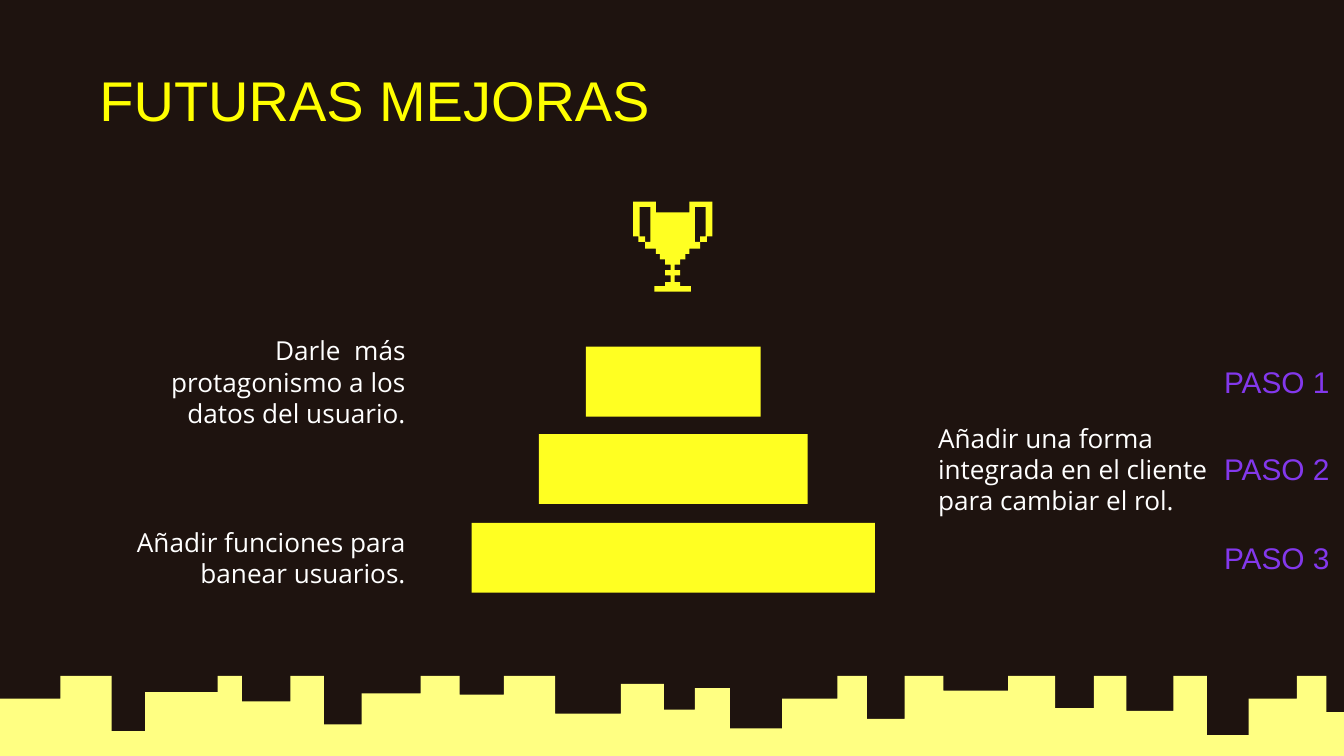
from dataclasses import dataclass

from pptx import Presentation
from pptx.dml.color import RGBColor
from pptx.enum.shapes import MSO_SHAPE
from pptx.enum.text import MSO_ANCHOR, MSO_AUTO_SIZE, PP_ALIGN
from pptx.util import Inches, Pt

RECTANGLE = MSO_SHAPE.RECTANGLE
TOP, MIDDLE = MSO_ANCHOR.TOP, MSO_ANCHOR.MIDDLE
LEFT, CENTER, RIGHT = PP_ALIGN.LEFT, PP_ALIGN.CENTER, PP_ALIGN.RIGHT
NO_AUTOFIT = MSO_AUTO_SIZE.NONE
TITLE_ONLY = 5
SLIDE_WIDTH = 10
UNITS_PER_INCH = 100


@dataclass(frozen=True)
class TextStyle:
    font: str
    size: int
    color: str


@dataclass(frozen=True)
class Theme:
    background: str = "1E130F"
    skyline: str = "FFFF82"
    accent: str = "FFFF22"
    title: TextStyle = TextStyle("Arial", 30, "FFFF00")
    step: TextStyle = TextStyle("Arial", 16, "8338EC")
    body: TextStyle = TextStyle("Open Sans", 14, "FFFFFF")


class SlideBuilder:
    def __init__(self, slide, theme):
        self.slide = slide
        self.theme = theme
        background = slide.background.fill
        background.solid()
        background.fore_color.rgb = RGBColor.from_string(theme.background)

    def _paint(self, shape, color):
        shape.fill.solid()
        shape.fill.fore_color.rgb = RGBColor.from_string(color)
        shape.line.fill.background()
        shape.shadow.inherit = False

    def _write(self, shape, text, style, align, anchor):
        frame = shape.text_frame
        frame.word_wrap = True
        frame.auto_size = NO_AUTOFIT
        frame.vertical_anchor = anchor
        frame.margin_left = frame.margin_right = 0
        frame.margin_top = frame.margin_bottom = 0
        paragraph = frame.paragraphs[0]
        paragraph.alignment = align
        run = paragraph.add_run()
        run.text = text
        run.font.name = style.font
        run.font.size = Pt(style.size)
        run.font.color.rgb = RGBColor.from_string(style.color)

    def title(self, text, left, top, width, height):
        heading = self.slide.shapes.title
        heading.left, heading.top = Inches(left), Inches(top)
        heading.width, heading.height = Inches(width), Inches(height)
        self._write(heading, text, self.theme.title, LEFT, TOP)

    def text(self, text, left, top, width, height, style, align):
        box = self.slide.shapes.add_textbox(
            Inches(left), Inches(top), Inches(width), Inches(height))
        self._write(box, text, style, align, MIDDLE)

    def bar(self, left, top, width, height):
        block = self.slide.shapes.add_shape(
            RECTANGLE, Inches(left), Inches(top), Inches(width), Inches(height))
        self._paint(block, self.theme.accent)

    def outline(self, points, color):
        units = [(x * UNITS_PER_INCH, y * UNITS_PER_INCH) for x, y in points]
        builder = self.slide.shapes.build_freeform(
            *units[0], scale=Inches(1) / UNITS_PER_INCH)
        builder.add_line_segments(units[1:], close=True)
        self._paint(builder.convert_to_shape(), color)


SKYLINE_START, SKYLINE_BASE = -0.02, 8.33
SKYLINE_STEPS = [
    (0.45, 5.2), (0.83, 5.03), (1.08, 5.44), (1.62, 5.15), (1.8, 5.03),
    (2.16, 5.22), (2.41, 5.03), (2.69, 5.39), (3.13, 5.16), (3.42, 5.03),
    (3.75, 5.17), (4.13, 5.03), (4.62, 5.31), (4.94, 5.09), (5.17, 5.28),
    (5.43, 5.12), (5.82, 5.42), (6.23, 5.2), (6.45, 5.03), (6.73, 5.35),
    (7.02, 5.03), (7.5, 5.14), (7.85, 5.03), (8.14, 5.27), (8.38, 5.03),
    (8.73, 5.29), (8.98, 5.03), (9.29, 5.47), (9.65, 5.2), (9.87, 5.03),
    (10, 5.3), (10.07, 5.03),
]

TROPHY_LEFT_HALF = [
    (4.88, 1.58), (4.88, 1.5), (4.71, 1.5), (4.71, 1.76), (4.75, 1.76),
    (4.75, 1.8), (4.8, 1.8), (4.8, 1.76), (4.76, 1.76), (4.76, 1.54),
    (4.84, 1.54), (4.84, 1.8), (4.8, 1.8), (4.8, 1.85), (4.88, 1.85),
    (4.88, 1.89), (4.91, 1.89), (4.91, 1.93), (4.95, 1.93), (4.95, 1.97),
    (4.99, 1.97), (4.99, 2.01), (4.95, 2.01), (4.95, 2.05), (4.99, 2.05),
    (4.99, 2.1), (4.95, 2.1), (4.95, 2.13), (4.87, 2.13), (4.87, 2.17),
]
TROPHY_EDGES = 4.71 + 5.3

PYRAMID_CENTER, ROW_HEIGHT = 5.01, 0.52
STEP_LEFT, STEP_WIDTH = 9, 1
NOTE_WIDTH, LEFT_NOTE, RIGHT_NOTE = 2.13, 0.89, 6.98
STEPS = [
    (2.58, 1.3, "Darle  más protagonismo a los datos del usuario.", LEFT_NOTE, RIGHT),
    (3.23, 2, "Añadir una forma integrada en el cliente para cambiar el rol.", RIGHT_NOTE, LEFT),
    (3.89, 3, "Añadir funciones para banear usuarios.", LEFT_NOTE, RIGHT),
]


def skyline_points():
    points = [(SKYLINE_START, SKYLINE_BASE)]
    left = SKYLINE_START
    for right, roof in SKYLINE_STEPS:
        points += [(left, roof), (right, roof)]
        left = right
    return points + [(left, SKYLINE_BASE)]


def trophy_points():
    mirrored = [(TROPHY_EDGES - x, y) for x, y in TROPHY_LEFT_HALF]
    return TROPHY_LEFT_HALF + mirrored[::-1]


def main():
    presentation = Presentation()
    presentation.slide_width = Inches(SLIDE_WIDTH)
    presentation.slide_height = Inches(SLIDE_WIDTH * 9 / 16)
    theme = Theme()
    slide = presentation.slides.add_slide(presentation.slide_layouts[TITLE_ONLY])
    builder = SlideBuilder(slide, theme)

    builder.outline(skyline_points(), theme.skyline)
    builder.title("FUTURAS MEJORAS", 0.74, 0.49, 6.75, 0.56)
    for number, (top, width, note, note_left, align) in enumerate(STEPS, 1):
        builder.bar(PYRAMID_CENTER - width / 2, top, width, ROW_HEIGHT)
        builder.text(f"PASO {number}", STEP_LEFT, top, STEP_WIDTH, ROW_HEIGHT,
                     theme.step, CENTER)
        builder.text(note, note_left, top, NOTE_WIDTH, ROW_HEIGHT, theme.body, align)
    builder.outline(trophy_points(), theme.accent)

    presentation.save("out.pptx")


if __name__ == "__main__":
    main()
